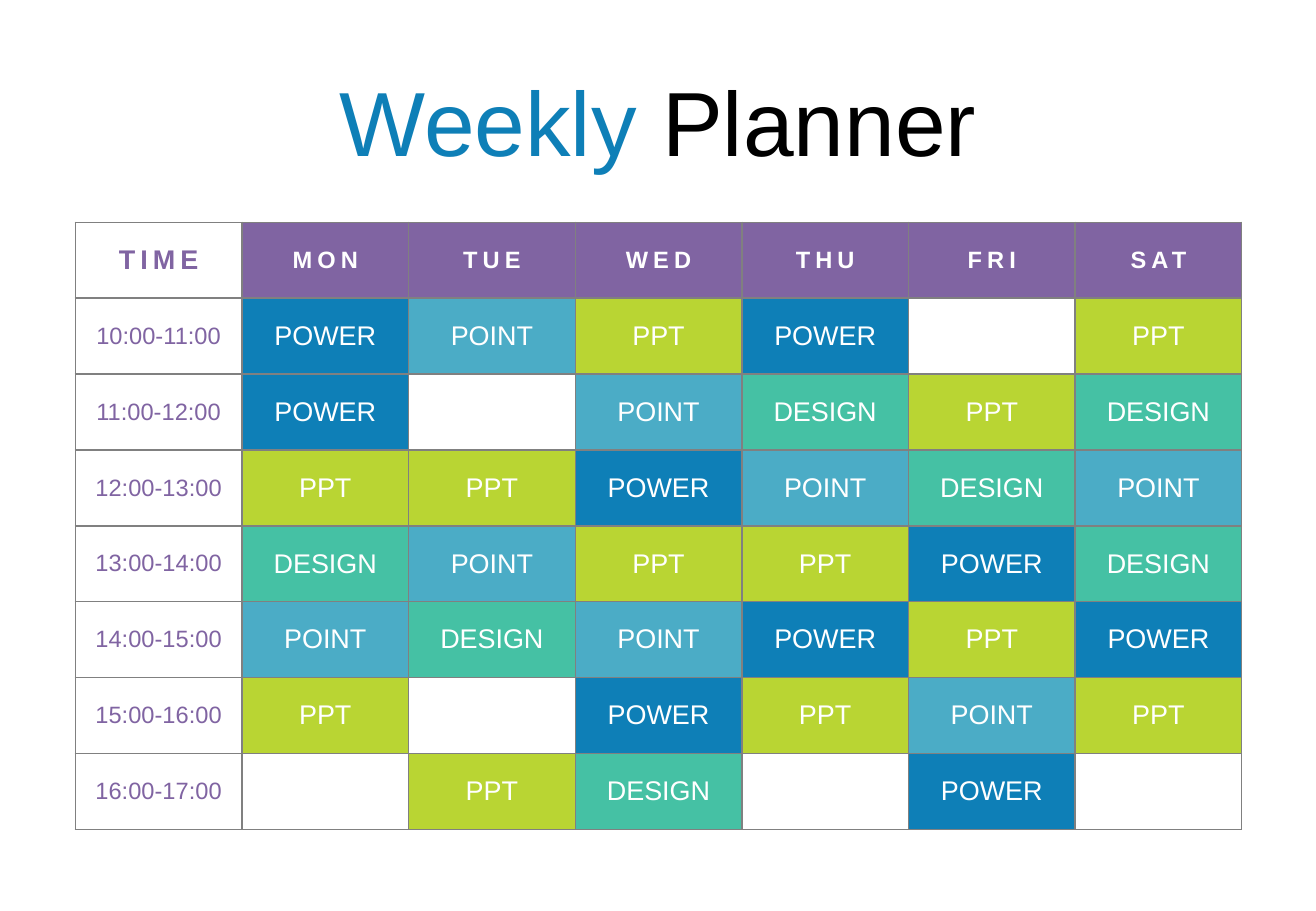
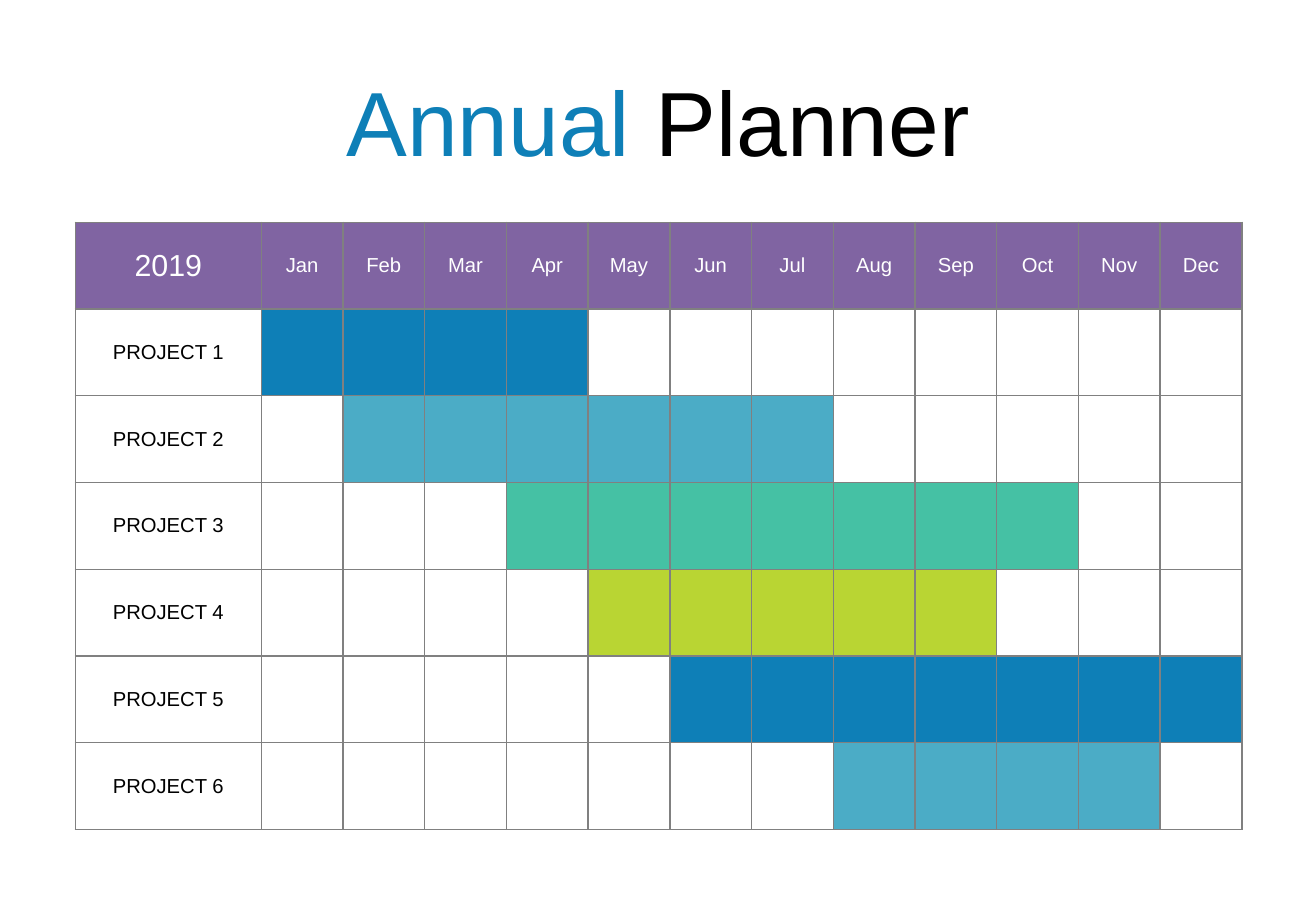
from lxml.etree import SubElement
from pptx import Presentation
from pptx.dml.color import RGBColor
from pptx.enum.text import MSO_ANCHOR as Anchor, MSO_AUTO_SIZE as AutoSize, PP_ALIGN as Align
from pptx.oxml.ns import qn
from pptx.util import Inches, Pt

FONT = "Arial"
C = {
    "blue": "0E7FB7", "sky": "4BACC6", "teal": "45C1A4", "lime": "B9D533",
    "purple": "8064A2", "grey": "808080", "white": "FFFFFF", "black": "000000",
}
TITLE_BOX = (0, 0.49, 10.83, 1.01)
TABLE_BOX = (0.62, 1.83, 9.6, 5)

DAYS = ["MON", "TUE", "WED", "THU", "FRI", "SAT"]
SUBJECT_FILL = {"POWER": "blue", "POINT": "sky", "PPT": "lime", "DESIGN": "teal", "": "white"}
LESSONS = [
    ["POWER", "POINT", "PPT", "POWER", "", "PPT"],
    ["POWER", "", "POINT", "DESIGN", "PPT", "DESIGN"],
    ["PPT", "PPT", "POWER", "POINT", "DESIGN", "POINT"],
    ["DESIGN", "POINT", "PPT", "PPT", "POWER", "DESIGN"],
    ["POINT", "DESIGN", "POINT", "POWER", "PPT", "POWER"],
    ["PPT", "", "POWER", "PPT", "POINT", "PPT"],
    ["", "PPT", "DESIGN", "", "POWER", ""],
]
FIRST_HOUR = 10

MONTHS = ["Jan", "Feb", "Mar", "Apr", "May", "Jun",
          "Jul", "Aug", "Sep", "Oct", "Nov", "Dec"]
# First month, last month and colour of each project
PROJECTS = [(1, 4, "blue"), (2, 7, "sky"), (4, 10, "teal"),
            (5, 9, "lime"), (6, 12, "blue"), (8, 11, "sky")]


def rgb(name):
    """Return a palette colour."""
    return RGBColor.from_string(C[name])


def add_run(p, text, size, color, bold=False, spacing=0):
    """Append a formatted run, with letter spacing in points."""
    r = p.add_run()
    r.text = text
    r.font.name, r.font.size, r.font.bold = FONT, Pt(size), bold
    r.font.color.rgb = rgb(color)
    if spacing:
        r.font._element.set("spc", str(spacing * 100))


def add_borders(cell):
    """Draw a thin grey line on all four sides of a cell."""
    tcPr = cell._tc.get_or_add_tcPr()
    for side in ("lnL", "lnR", "lnT", "lnB"):
        ln = SubElement(tcPr, qn(f"a:{side}"), w=str(Pt(1)))
        SubElement(SubElement(ln, qn("a:solidFill")), qn("a:srgbClr"), val=C["grey"])


def fill_cell(cell, fill, text="", size=12, color="white", **style):
    """Format one cell and write its text."""
    add_borders(cell)
    cell.fill.solid()
    cell.fill.fore_color.rgb = rgb(fill)
    cell.vertical_anchor = Anchor.MIDDLE
    cell.margin_left = cell.margin_right = cell.margin_top = cell.margin_bottom = 0
    p = cell.text_frame.paragraphs[0]
    p.alignment = Align.CENTER
    if text:
        add_run(p, text, size, color, **style)


def add_grid(s, box, rows, cols, first_width):
    """Add a plain table whose columns after the first share the width."""
    x, y, w, h = box
    tbl = s.shapes.add_table(rows, cols, *map(Inches, box)).table
    tbl.first_row = tbl.horz_banding = False
    for i, col in enumerate(tbl.columns):
        col.width = Inches((w - first_width) / (cols - 1) if i else first_width)
    for row in tbl.rows:
        row.height = Inches(h / rows)
    return tbl


def add_slide(prs, accent):
    """Add a slide titled with an accented word and 'Planner'."""
    s = prs.slides.add_slide(prs.slide_layouts[5])
    title = s.shapes.title
    title.left, title.top, title.width, title.height = map(Inches, TITLE_BOX)
    tf = title.text_frame
    tf.word_wrap = True
    tf.auto_size = AutoSize.SHAPE_TO_FIT_TEXT
    tf.vertical_anchor = Anchor.TOP
    p = tf.paragraphs[0]
    p.alignment = Align.CENTER
    add_run(p, accent, 54, "blue")
    add_run(p, " Planner", 54, "black")
    return s


def add_timetable(s, box):
    """Fill the box with a week of lessons, one row an hour."""
    cols = len(DAYS) + 1
    tbl = add_grid(s, box, len(LESSONS) + 1, cols, box[2] / cols)
    fill_cell(tbl.cell(0, 0), "white", "TIME", 16, "purple", bold=True, spacing=3)
    for j, day in enumerate(DAYS, 1):
        fill_cell(tbl.cell(0, j), "purple", day, 14, bold=True, spacing=3)
    for i, lessons in enumerate(LESSONS, 1):
        hour = FIRST_HOUR + i - 1
        fill_cell(tbl.cell(i, 0), "white", f"{hour}:00-{hour + 1}:00", 14, "purple")
        for j, subject in enumerate(lessons, 1):
            fill_cell(tbl.cell(i, j), SUBJECT_FILL[subject], subject, 16)


def add_year_plan(s, box):
    """Fill the box with project bars across twelve months."""
    tbl = add_grid(s, box, len(PROJECTS) + 1, len(MONTHS) + 1, 1.53)
    fill_cell(tbl.cell(0, 0), "purple", "2019", 18)
    for j, month in enumerate(MONTHS, 1):
        fill_cell(tbl.cell(0, j), "purple", month)
    for i, (start, end, color) in enumerate(PROJECTS, 1):
        fill_cell(tbl.cell(i, 0), "white", f"PROJECT {i}", color="black")
        for j in range(1, len(MONTHS) + 1):
            fill_cell(tbl.cell(i, j), color if start <= j <= end else "white")


prs = Presentation()
prs.slide_width, prs.slide_height = Inches(10.83), Inches(7.5)
add_timetable(add_slide(prs, "Weekly"), TABLE_BOX)
add_year_plan(add_slide(prs, "Annual"), TABLE_BOX)
prs.save("out.pptx")
